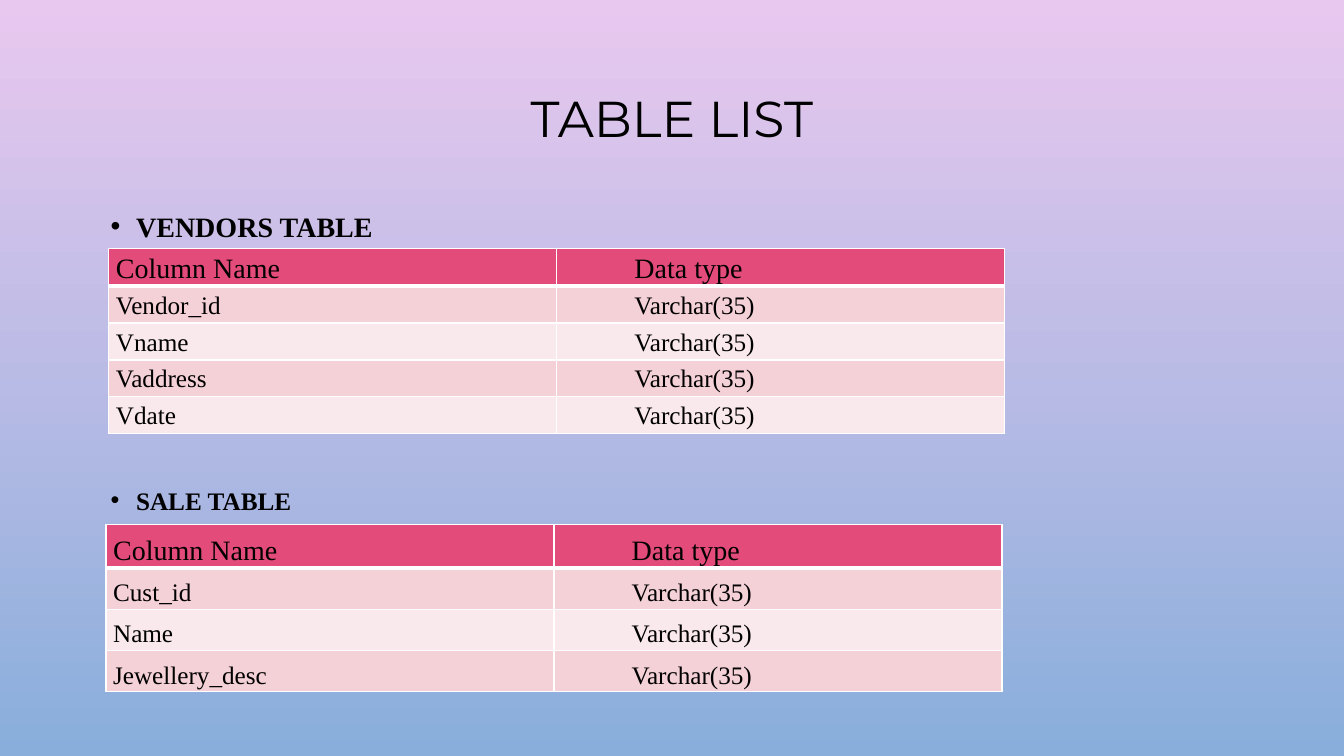
from dataclasses import dataclass

import pptx
import pptx.dml.color
import pptx.enum.text
import pptx.oxml
import pptx.oxml.ns
import pptx.util
from pptx.util import Cm, Pt


@dataclass(frozen=True)
class Theme:
    """Colours, fonts and type sizes of the slide."""
    sky: tuple = ("E9C8EF", "89AEDB")
    ink: str = "000000"
    rule: str = "FFFFFF"
    header: str = "E34B7A"
    bands: tuple = ("F4D0D7", "FAE9EC")
    title_font: str = "Montserrat"
    text_font: str = "Times New Roman"
    title_size: int = 36
    large_size: int = 20
    text_size: int = 18


THEME = Theme()
MIDDLE = pptx.enum.text.MSO_ANCHOR.MIDDLE
VARCHAR = "Varchar(35)"


def colour(code):
    """Turn a hex code into a colour value."""
    return pptx.dml.color.RGBColor.from_string(code)


def apply(target, values):
    """Set each attribute named in the dict of values."""
    for name, value in values.items():
        setattr(target, name, value)


def write(paragraph, wording, size, font=THEME.text_font, bold=False, **layout):
    """Put one formatted run into a paragraph."""
    apply(paragraph, layout)
    run = paragraph.add_run()
    run.text = wording
    apply(run.font, {"name": font, "size": Pt(size), "bold": bold})
    run.font.color.rgb = colour(THEME.ink)


def indent(paragraph, margin, first_line):
    """Set the left margin and first-line indent of a paragraph."""
    properties = paragraph._p.get_or_add_pPr()
    properties.set("marL", str(margin))
    properties.set("indent", str(first_line))
    return properties


def add_xml(parent, markup):
    """Append a drawing element written as markup."""
    parent.append(pptx.oxml.parse_xml(markup.replace(" ", f" {pptx.oxml.ns.nsdecls('a')} ", 1)))


def paint_background(slide):
    """Fill the background with a vertical gradient."""
    sky = slide.background.fill
    sky.gradient()
    sky.gradient_angle = 270
    for stop, code in zip(sky.gradient_stops, THEME.sky):
        stop.color.rgb = colour(code)


def add_title(slide, wording):
    """Place and format the slide title."""
    title = slide.shapes.title
    apply(title, {"left": Cm(2.54), "top": Cm(1.73), "width": Cm(28.78), "height": Cm(2.67)})
    title.text_frame.vertical_anchor = MIDDLE
    write(title.text_frame.paragraphs[0], wording, THEME.title_size, THEME.title_font,
          alignment=pptx.enum.text.PP_ALIGN.CENTER, line_spacing=0.9)


def add_heading(slide, wording, top, size):
    """Add a bulleted heading above a table."""
    heading = slide.shapes.add_textbox(Cm(2.54), top, Cm(28.78), Cm(1.2)).text_frame
    apply(heading, {"word_wrap": True, "vertical_anchor": MIDDLE})
    line = heading.paragraphs[0]
    write(line, wording, size, bold=True)
    bullet = indent(line, Cm(0.64), Cm(-0.64))
    add_xml(bullet, f'<a:buClr ><a:srgbClr val="{THEME.ink}"/></a:buClr>')
    add_xml(bullet, '<a:buFont typeface="Arial"/>')
    add_xml(bullet, '<a:buChar char="•"/>')


def rule_cell(cell, weights):
    """Draw the four borders of a cell."""
    for side, weight in weights.items():
        add_xml(cell._tc.get_or_add_tcPr(),
                f'<a:ln{side} w="{Pt(weight)}"><a:solidFill>'
                f'<a:srgbClr val="{THEME.rule}"/></a:solidFill></a:ln{side}>')


def add_columns_table(slide, left, top, header_height, row_height, inset, names):
    """Add a table that lists column names and their data types."""
    entries = [("Column Name", "Data type")] + [(name, VARCHAR) for name in names]
    height = header_height + row_height * len(names)
    table = slide.shapes.add_table(len(entries), 2, left, top, Cm(22.58), height).table
    for index, entry in enumerate(entries):
        is_header = index == 0
        table.rows[index].height = header_height if is_header else row_height
        fill = THEME.header if is_header else THEME.bands[(index - 1) % 2]
        size = THEME.large_size if is_header else THEME.text_size
        for column, wording in enumerate(entry):
            cell = table.cell(index, column)
            apply(cell, {"margin_left": Cm(0.18), "margin_top": inset, "margin_right": Cm(0.2),
                         "margin_bottom": Cm(0), "vertical_anchor": MIDDLE})
            rule_cell(cell, {"L": 1, "R": 1, "T": 3 if index == 1 else 1,
                             "B": 3 if is_header else 1})
            cell.fill.solid()
            cell.fill.fore_color.rgb = colour(fill)
            line = cell.text_frame.paragraphs[0]
            write(line, wording, size, line_spacing=1.07)
            indent(line, Cm(1.78) * column, 0)


def main():
    """Build the slide and save it."""
    deck = pptx.Presentation()
    apply(deck, {"slide_width": Cm(33.87), "slide_height": Cm(19.05)})
    slide = deck.slides.add_slide(deck.slide_layouts[5])
    paint_background(slide)
    add_title(slide, "TABLE LIST")
    add_heading(slide, "VENDORS TABLE", Cm(5.1), THEME.large_size)
    add_columns_table(slide, Cm(2.74), Cm(6.27), Cm(0.94), Cm(0.93), Cm(0),
                      ["Vendor_id", "Vname", "Vaddress", "Vdate"])
    add_heading(slide, "SALE TABLE", Cm(12), THEME.text_size)
    add_columns_table(slide, Cm(2.67), Cm(13.22), Cm(1.09), Cm(1.04), Cm(0.18),
                      ["Cust_id", "Name", "Jewellery_desc"])
    deck.save("out.pptx")


if __name__ == "__main__":
    main()
